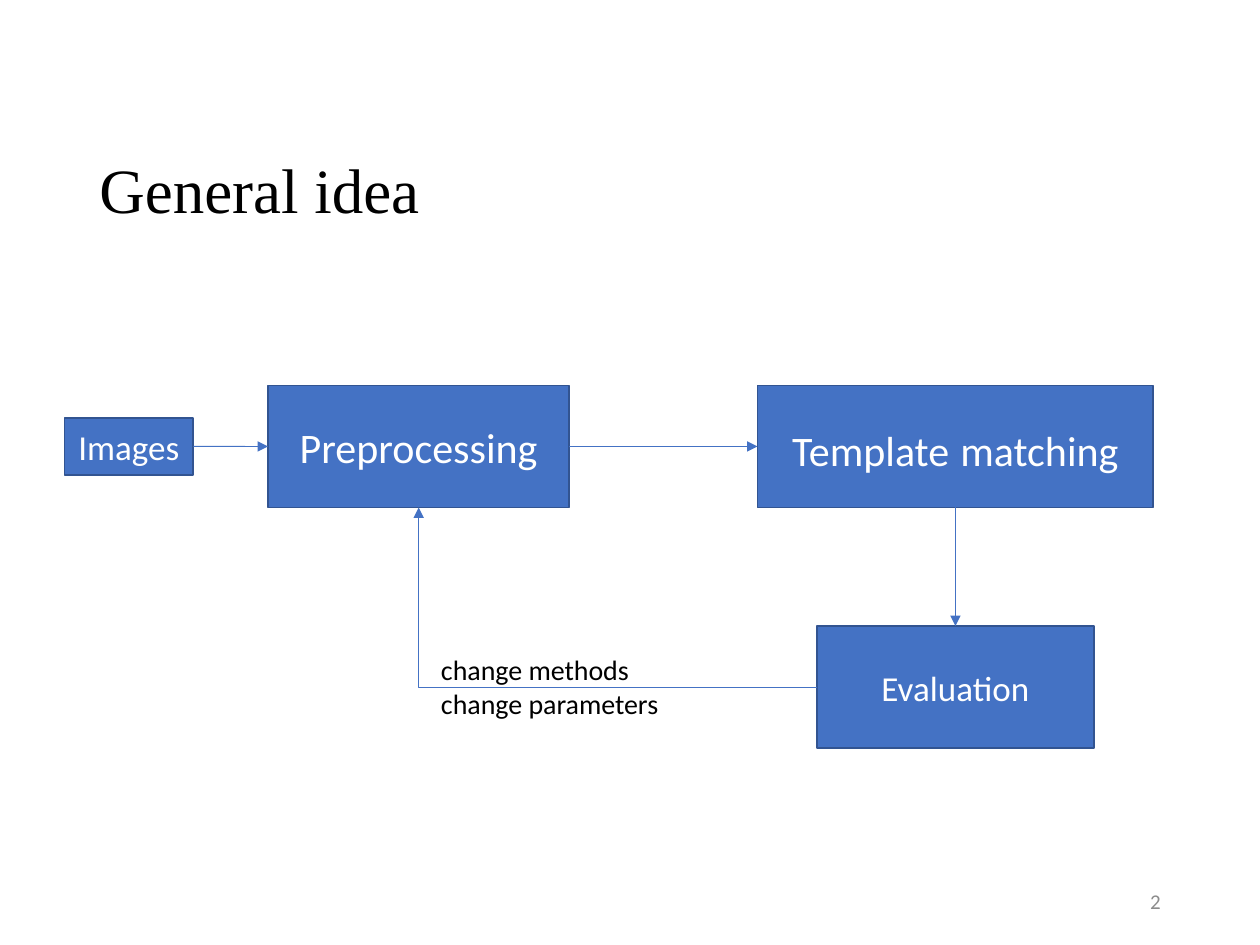
import pptx
import pptx.dml.color
import pptx.enum.shapes
import pptx.enum.text
import pptx.oxml
import pptx.oxml.ns
import pptx.util
from lxml import etree

Cm = pptx.util.Cm
Pt = pptx.util.Pt
RGBColor = pptx.dml.color.RGBColor
Align = pptx.enum.text.PP_ALIGN
Anchor = pptx.enum.text.MSO_ANCHOR
Connector = pptx.enum.shapes.MSO_CONNECTOR
qn = pptx.oxml.ns.qn

BLACK = RGBColor(0x00, 0x00, 0x00)
WHITE = RGBColor(0xFF, 0xFF, 0xFF)
GREY = RGBColor(0x8C, 0x8C, 0x8C)
BLUE = RGBColor(0x44, 0x72, 0xC4)
DARK_BLUE = RGBColor(0x32, 0x54, 0x91)

TOP, LEFT, BOTTOM, RIGHT = range(4)


class FlowSlide:
    title_font = "Times New Roman"
    body_font = "Calibri"

    def __init__(self, deck):
        self.page = deck.slides.add_slide(deck.slide_layouts[5])

    def add_text(self, box, lines, color, font=body_font, align=Align.LEFT, anchor=Anchor.MIDDLE):
        frame = box.text_frame
        frame.word_wrap = True
        frame.auto_size = pptx.enum.text.MSO_AUTO_SIZE.NONE
        frame.vertical_anchor = anchor
        for index, line in enumerate(lines):
            para = frame.add_paragraph() if index else frame.paragraphs[0]
            para.alignment = align
            for text, size in line:
                span = para.add_run()
                span.text = text
                span.font.name = font
                span.font.size = Pt(size)
                span.font.color.rgb = color
        return frame

    def title(self, text, left, top, width, height):
        box = self.page.shapes.title
        box.left, box.top, box.width, box.height = map(Cm, (left, top, width, height))
        frame = self.add_text(box, [[(text, 36)]], BLACK, self.title_font)
        frame.paragraphs[0].line_spacing = 0.9

    def label(self, lines, left, top, width, height, color=BLACK, **layout):
        box = self.page.shapes.add_textbox(*map(Cm, (left, top, width, height)))
        self.add_text(box, lines, color, **layout)

    def node(self, spans, center_x, center_y, width, height):
        box = self.page.shapes.add_shape(
            pptx.enum.shapes.MSO_SHAPE.RECTANGLE,
            Cm(center_x - width / 2), Cm(center_y - height / 2), Cm(width), Cm(height))
        box.shadow.inherit = False
        box.fill.solid()
        box.fill.fore_color.rgb = BLUE
        box.line.color.rgb = DARK_BLUE
        box.line.width = Pt(1)
        self.add_text(box, [spans], WHITE, align=Align.CENTER)
        return box

    def arrow(self, source, source_side, target, target_side, kind=Connector.STRAIGHT):
        line = self.page.shapes.add_connector(kind, 0, 0, 0, 0)
        line.begin_connect(source, source_side)
        line.end_connect(target, target_side)
        line.line.color.rgb = BLUE
        line.line.width = Pt(0.5)
        properties = line.element.spPr
        outline = properties.find(qn("a:ln"))
        etree.SubElement(outline, qn("a:tailEnd"), type="triangle")
        etree.SubElement(properties, qn("a:effectLst"))
        return line

    def feedback_arrow(self, source, target):
        line = self.arrow(source, LEFT, target, BOTTOM, Connector.ELBOW)
        properties = line.element.spPr
        properties.find(qn("a:prstGeom")).set("prst", "bentConnector2")
        transform = properties.find(qn("a:xfrm"))
        for flip in ("flipH", "flipV"):
            transform.attrib.pop(flip, None)
        transform.set("rot", "10800000")


def main():
    deck = pptx.Presentation()
    deck.slide_width, deck.slide_height = Cm(25.4), Cm(19.05)
    slide = FlowSlide(deck)
    slide.title("General idea", 1.75, 2.06, 21.9, 3.68)
    slide.label([[("2", 12)]], 17.93, 17.65, 5.72, 1.02, GREY, align=Align.RIGHT)

    row, right_column, node_height = 9, 19.26, 2.46
    preprocessing = slide.node([("Preprocessing", 24)], 8.44, row, 6.07, node_height)
    matching = slide.node([("Template", 24), (" ", 28), ("matching", 24)],
                          right_column, row, 7.98, node_height)
    evaluation = slide.node([("Evaluation", 20)], right_column, 13.85, 5.59, node_height)
    images = slide.node([("Images", 20)], 2.6, row, 2.6, 1.14)

    slide.arrow(images, RIGHT, preprocessing, LEFT)
    slide.arrow(preprocessing, RIGHT, matching, LEFT)
    slide.arrow(matching, BOTTOM, evaluation, TOP)
    slide.feedback_arrow(evaluation, preprocessing)
    slide.label([[("change methods", 16)], [("change parameters", 16)]],
                8.64, 13.03, 5.69, 1.63, anchor=Anchor.TOP)
    deck.save("out.pptx")


if __name__ == "__main__":
    main()
